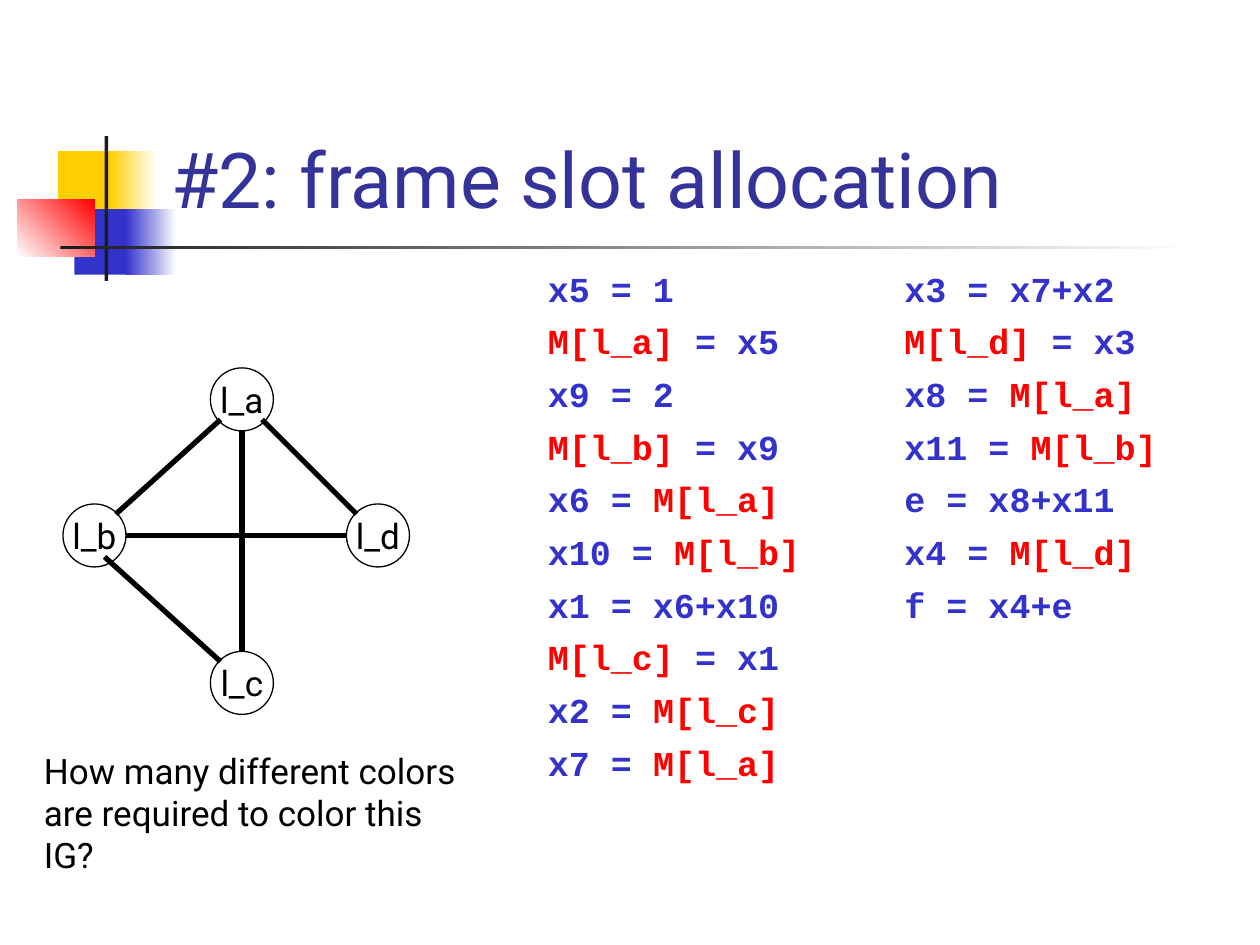
from pptx import Presentation
from pptx.dml.color import RGBColor as Rgb
from pptx.enum.shapes import MSO_CONNECTOR as Connector, MSO_SHAPE as Shape
from pptx.enum.text import MSO_ANCHOR as Anchor, PP_ALIGN as Align
from pptx.oxml.ns import qn
from pptx.util import Inches, Pt
from lxml.etree import SubElement

COLORS = {"yellow": "FFCF01", "blue": "3333CC", "red": "FF0000", "white": "FFFFFF",
          "ink": "1C1C1C", "title": "333399", "black": "000000"}
NODE_SIZE = 0.5


def inches(*lengths):
    return [Inches(length) for length in lengths]


class SlideBuilder:
    body_font, code_font, body_size = "Roboto", "Courier New", 20

    def __init__(self, slide):
        self.slide = slide

    def color(self, name):
        return Rgb.from_string(COLORS[name])

    def style(self, run, color="black", size=None, font=None, bold=False):
        run.font.name = font or self.body_font
        run.font.size = Pt(size or self.body_size)
        run.font.bold = bold
        run.font.color.rgb = self.color(color)

    def block(self, place, start, end=None, angle=0):
        block = self.slide.shapes.add_shape(Shape.RECTANGLE, *inches(*place))
        block.shadow.inherit = False
        block.line.fill.background()
        if end:
            block.fill.gradient()
            block.fill.gradient_angle = angle
            for stop, name in zip(block.fill.gradient_stops, (start, end)):
                stop.color.rgb = self.color(name)
        else:
            block.fill.solid()
            block.fill.fore_color.rgb = self.color(start)

    def frame(self, place, anchor=Anchor.TOP):
        frame = self.slide.shapes.add_textbox(*inches(*place)).text_frame
        frame.word_wrap = True
        frame.vertical_anchor = anchor
        return frame

    def text(self, place, text, anchor=Anchor.TOP, **style):
        frame = self.frame(place, anchor)
        frame.text = text
        self.style(frame.paragraphs[0].runs[0], **style)

    def node(self, label, left, top):
        node = self.slide.shapes.add_shape(
            Shape.OVAL, *inches(left, top, NODE_SIZE, NODE_SIZE))
        node.shadow.inherit = False
        node.fill.background()
        node.line.color.rgb = self.color("black")
        node.line.width = Pt(0.75)
        frame = node.text_frame
        frame.word_wrap = False
        frame.vertical_anchor = Anchor.MIDDLE
        frame.text = label
        frame.paragraphs[0].alignment = Align.CENTER
        self.style(frame.paragraphs[0].runs[0])

    def edge(self, *ends):
        edge = self.slide.shapes.add_connector(Connector.STRAIGHT, *inches(*ends))
        edge.line.color.rgb = self.color("black")
        edge.line.width = Pt(3)
        SubElement(edge._element.spPr, qn("a:effectLst"))

    def code(self, place, statements):
        frame = self.frame(place)
        for index, statement in enumerate(statements):
            paragraph = frame.add_paragraph() if index else frame.paragraphs[0]
            paragraph.space_before = Pt(6.1 if index else 0)
            target, equals, value = statement.partition(" = ")
            if target.startswith("M["):
                parts = [target, equals + value]
            elif value.startswith("M["):
                parts = [target + equals, value]
            else:
                parts = [statement]
            for part in parts:
                run = paragraph.add_run()
                run.text = part
                self.style(run, "red" if part.startswith("M[") else "blue",
                           font=self.code_font, bold=True)


def main():
    deck = Presentation()
    deck.slide_width, deck.slide_height = inches(10, 7.5)
    builder = SlideBuilder(deck.slides.add_slide(deck.slide_layouts[6]))

    builder.block((0.46, 1.2, 0.48, 0.52), "yellow")
    builder.block((0.88, 1.2, 0.36, 0.52), "yellow", "white")
    builder.block((0.59, 1.66, 0.46, 0.52), "blue")
    builder.block((1, 1.66, 0.4, 0.52), "blue", "white")
    builder.block((0.14, 1.58, 0.61, 0.46), "white", "red", angle=45)
    builder.block((0.83, 1.08, 0.03, 1.15), "ink")
    builder.block((0.48, 1.95, 9, 0.03), "ink", "white")

    builder.text((1.26, 0.23, 8.52, 1.6), "#2: frame slot allocation",
                 Anchor.BOTTOM, color="title", size=44)

    nodes = {"l_a": (1.67, 2.92), "l_b": (0.5, 4), "l_d": (2.75, 4), "l_c": (1.67, 5.17)}
    for label, corner in nodes.items():
        builder.node(label, *corner)
    edges = [(2.08, 3.33, 2.83, 4.08), (1, 4.25, 2.75, 4.25), (1.92, 3.42, 1.92, 5.17),
             (0.83, 4.42, 1.75, 5.25), (1.75, 3.33, 0.92, 4.08)]
    for ends in edges:
        builder.edge(*ends)

    builder.text((0.25, 5.9, 3.67, 0.77),
                 "How many different colors are required to color this IG?")
    builder.code((4.25, 2.07, 2.5, 4.1), [
        "x5 = 1", "M[l_a] = x5", "x9 = 2", "M[l_b] = x9", "x6 = M[l_a]",
        "x10 = M[l_b]", "x1 = x6+x10", "M[l_c] = x1", "x2 = M[l_c]", "x7 = M[l_a]"])
    builder.code((7.08, 2.07, 2.5, 2.88), [
        "x3 = x7+x2", "M[l_d] = x3", "x8 = M[l_a]", "x11 = M[l_b]",
        "e = x8+x11", "x4 = M[l_d]", "f = x4+e"])

    deck.save("out.pptx")


if __name__ == "__main__":
    main()
